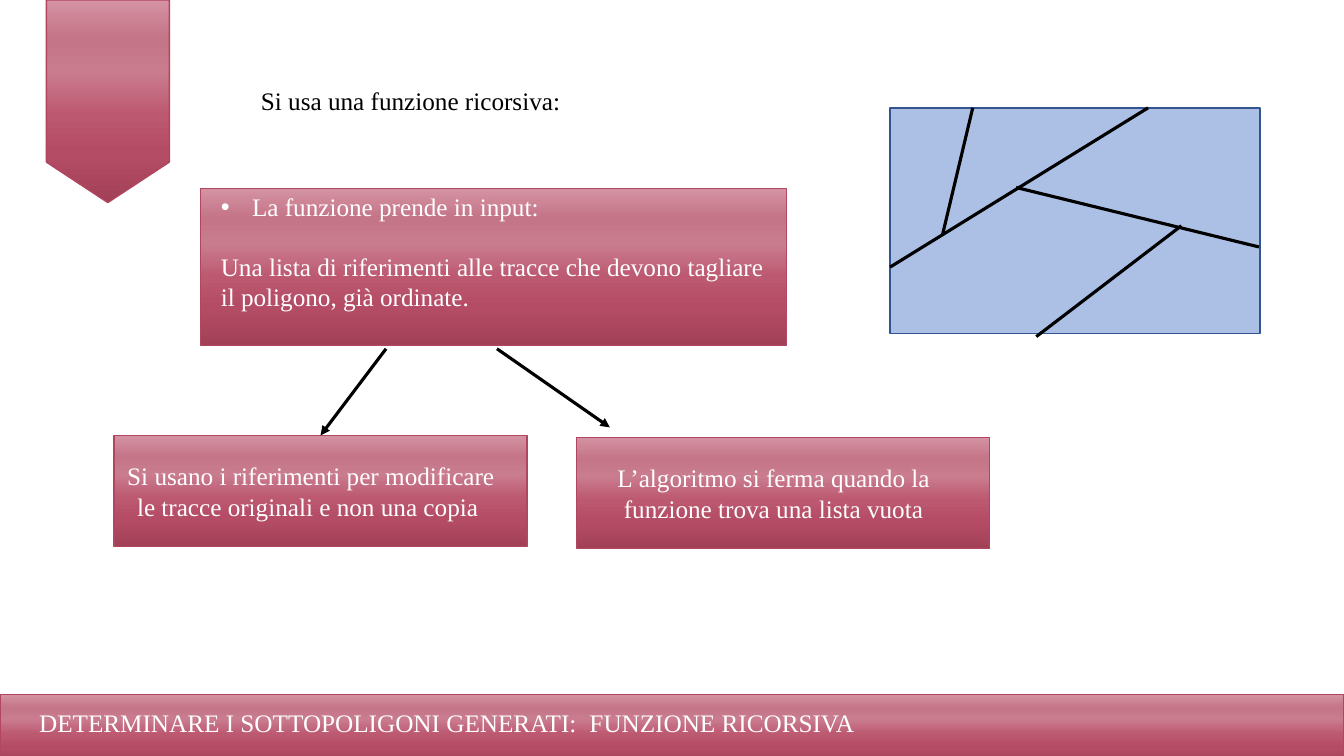
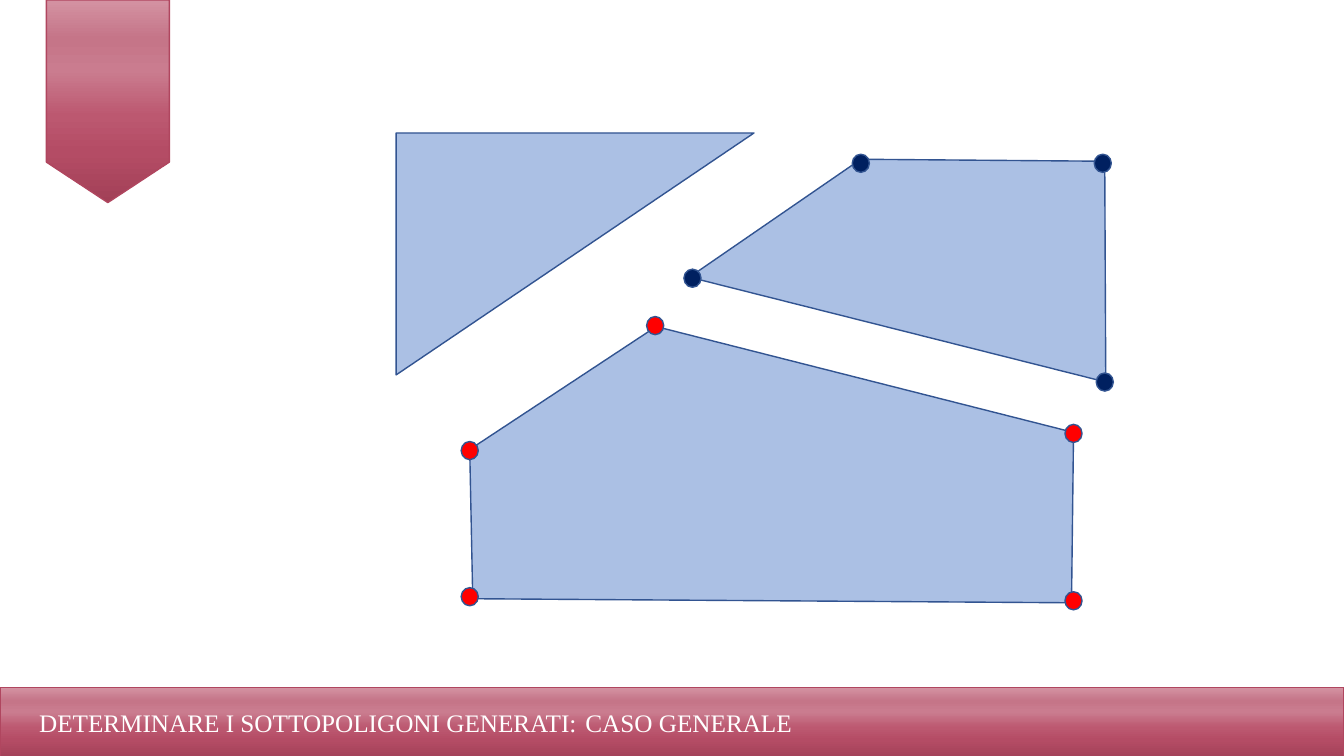
from dataclasses import dataclass

from pptx import Presentation
from pptx.dml.color import RGBColor
from pptx.enum.shapes import MSO_CONNECTOR, MSO_SHAPE
from pptx.enum.text import MSO_ANCHOR, PP_ALIGN
from pptx.oxml.ns import qn
from pptx.oxml.xmlchemy import OxmlElement
from pptx.util import Inches, Pt

RECTANGLE = MSO_SHAPE.RECTANGLE
RIGHT_TRIANGLE = MSO_SHAPE.RIGHT_TRIANGLE
OVAL = MSO_SHAPE.OVAL
RIBBON = MSO_SHAPE.FLOWCHART_OFFPAGE_CONNECTOR
STRAIGHT = MSO_CONNECTOR.STRAIGHT
LEFT, CENTER = PP_ALIGN.LEFT, PP_ALIGN.CENTER
TOP, MIDDLE = MSO_ANCHOR.TOP, MSO_ANCHOR.MIDDLE
TOP_SIDE = 0

COLUMNS, ROWS = 133.33, 75
CELL = Inches(0.1)


@dataclass(frozen=True)
class Theme:
    font: str = "Times New Roman"
    text_size: float = 18
    thin: float = 1
    thick: float = 2.25
    light: str = "FFFFFF"
    dark: str = "000000"
    border: str = "B0465F"
    polygon: str = "ABC0E4"
    polygon_border: str = "325491"
    red: str = "FF0000"
    navy: str = "002060"
    gradient: tuple = ((0, "A24057"), (25, "B44C65"), (43, "BC5870"),
                       (65, "CA7C8F"), (81, "C57588"), (99, "D391A1"))


THEME = Theme()


def cells(*counts):
    """Turn counts of grid cells into lengths."""
    return [round(count * CELL) for count in counts]


def add_element(parent, tag, **attributes):
    element = OxmlElement(tag)
    for name, value in attributes.items():
        element.set(name, str(value))
    parent.append(element)
    return element


def write(frame, text, color=THEME.light, align=LEFT, bullet=None, indent=3.1, before=0):
    """Fill the first paragraph of the frame, or add one below the others."""
    first = frame.paragraphs[0]
    paragraph = frame.add_paragraph() if first.runs else first
    paragraph.alignment = align
    if before:
        paragraph.space_before = Pt(before)
    if bullet:
        hanging = cells(indent)[0]
        properties = paragraph._p.get_or_add_pPr()
        properties.set("marL", str(hanging))
        properties.set("indent", str(-hanging))
        add_element(properties, "a:buFont", typeface="Arial")
        add_element(properties, "a:buChar", char=bullet)
    run = paragraph.add_run()
    run.text = text
    run.font.name = THEME.font
    run.font.size = Pt(THEME.text_size)
    run.font.color.rgb = RGBColor.from_string(color)


class Deck:
    """Holds the style and the current slide; places are in grid cells."""

    def __init__(self, theme):
        self.theme = theme
        self.presentation = Presentation()
        self.presentation.slide_width, self.presentation.slide_height = cells(COLUMNS, ROWS)
        self.slide = None

    def new_slide(self, subtitle, subtitle_left, subtitle_width, band_top):
        self.slide = self.presentation.slides.add_slide(self.presentation.slide_layouts[6])
        self.gradient_shape(RIBBON, 4.6, 0, 12.2, 20.1)
        self.gradient_shape(RECTANGLE, 0, band_top, COLUMNS, 7)
        self.label("DETERMINARE I SOTTOPOLIGONI GENERATI:", 2.9, 69.7, 81)
        self.label(subtitle, subtitle_left, 69.7, subtitle_width)

    def outline(self, shape, color):
        shape.shadow.inherit = False
        shape.line.color.rgb = RGBColor.from_string(color)
        shape.line.width = Pt(self.theme.thin)

    def paint(self, shape, color):
        shape.fill.solid()
        shape.fill.fore_color.rgb = RGBColor.from_string(color)
        self.outline(shape, self.theme.polygon_border)
        return shape

    def gradient_shape(self, kind, *place):
        shape = self.slide.shapes.add_shape(kind, *cells(*place))
        shape.fill.gradient()
        shape.fill.gradient_angle = 90
        stops = shape._element.spPr.find(qn("a:gradFill")).find(qn("a:gsLst"))
        for stop in list(stops):
            stops.remove(stop)
        for share, color in self.theme.gradient:
            stop = add_element(stops, "a:gs", pos=share * 1000)
            add_element(stop, "a:srgbClr", val=color)
        self.outline(shape, self.theme.border)
        return shape

    def box(self, place, insets, anchor=MIDDLE):
        """Draw a text panel; insets are left, top, right and bottom."""
        shape = self.gradient_shape(RECTANGLE, *place)
        frame = shape.text_frame
        frame.word_wrap = True
        frame.vertical_anchor = anchor
        (frame.margin_left, frame.margin_top,
         frame.margin_right, frame.margin_bottom) = cells(*insets)
        return shape

    def label(self, text, left, top, width, **text_format):
        textbox = self.slide.shapes.add_textbox(*cells(left, top, width, 4))
        textbox.text_frame.word_wrap = True
        write(textbox.text_frame, text, **text_format)

    def plain_shape(self, kind, *place):
        shape = self.slide.shapes.add_shape(kind, *cells(*place))
        return self.paint(shape, self.theme.polygon)

    def polygon(self, *corners):
        first, *others = [cells(*corner) for corner in corners]
        builder = self.slide.shapes.build_freeform(*first)
        builder.add_line_segments(others, close=True)
        self.paint(builder.convert_to_shape(), self.theme.polygon)

    def dots(self, color, *centers, width=1.7, height=1.8):
        for x, y in centers:
            place = cells(x - width / 2, y - height / 2, width, height)
            self.paint(self.slide.shapes.add_shape(OVAL, *place), color)

    def line(self, start, end, arrow=False, target=None):
        connector = self.slide.shapes.add_connector(STRAIGHT, *cells(*start, *end))
        connector.line.color.rgb = RGBColor.from_string(self.theme.dark)
        connector.line.width = Pt(self.theme.thick)
        properties = connector._element.spPr
        if arrow:
            add_element(properties.find(qn("a:ln")), "a:tailEnd", type="triangle")
        add_element(properties, "a:effectLst")
        if target is not None:
            connector.end_connect(target, TOP_SIDE)


def build_recursive_function(deck):
    deck.new_slide("FUNZIONE RICORSIVA", 57.5, 30, band_top=68.9)

    deck.plain_shape(RECTANGLE, 88.3, 10.7, 36.7, 22.4)
    for start, end in (((88.3, 26.5), (113.9, 10.7)),
                       ((100.8, 18.6), (124.9, 24.5)),
                       ((102.8, 33.4), (117.2, 22.4)),
                       ((93.5, 23.3), (96.5, 10.7))):
        deck.line(start, end)

    deck.label("Si usa una funzione ricorsiva:", 24.9, 8, 34, color=deck.theme.dark)
    source = deck.box((19.9, 18.7, 58.1, 15.6), (2, 0.3, 1.3, 0), anchor=TOP)
    write(source.text_frame, "La funzione prende in input:", bullet="•")
    write(source.text_frame, "Una lista di riferimenti alle tracce che devono tagliare "
          "il poligono, già ordinate.", before=21)

    results = []
    for left, top, text in (
            (11.3, 43.2, "Si usano i riferimenti per modificare le tracce originali "
                         "e non una copia "),
            (57.2, 43.4, "L’algoritmo si ferma quando la funzione trova una lista vuota")):
        result = deck.box((left, top, 41, 11), (0.5, 0.5, 2.4, 0.5))
        write(result.text_frame, text, align=CENTER)
        results.append(result)

    deck.line((38.3, 34.6), (31.8, 43.2), arrow=True, target=results[0])
    deck.line((49.3, 34.6), (60.5, 42.4), arrow=True)


def build_general_case(deck):
    deck.new_slide("CASO GENERALE", 57.1, 26, band_top=68.2)

    triangle = deck.plain_shape(RIGHT_TRIANGLE, 39.3, 13.2, 35.5, 24)
    triangle._element.spPr.find(qn("a:xfrm")).set("flipV", "1")

    deck.polygon((46.6, 44.6), (65.1, 32.4), (106.5, 42.9), (106.3, 59.8), (46.9, 59.4))
    deck.dots(deck.theme.red, (46.6, 59.2), (65, 32.3), (46.6, 44.7),
              (106.5, 43), (106.5, 59.6))

    deck.polygon((85.4, 15.8), (109.6, 16), (109.7, 37.9), (68.4, 27.5))
    deck.dots(deck.theme.navy, (85.4, 16.2), (109.6, 37.9), (68.7, 27.6), (109.4, 16.2))


def main():
    deck = Deck(THEME)
    build_recursive_function(deck)
    build_general_case(deck)
    deck.presentation.save("out.pptx")


if __name__ == "__main__":
    main()
